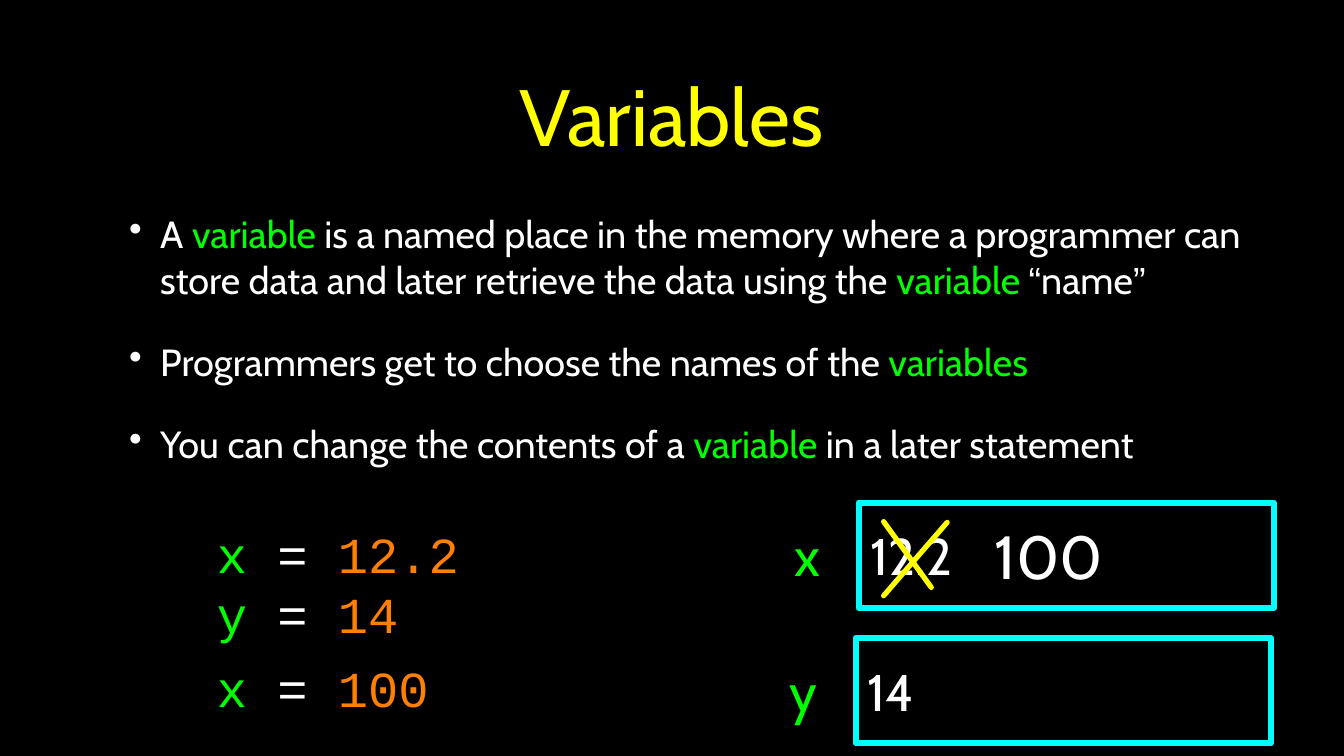
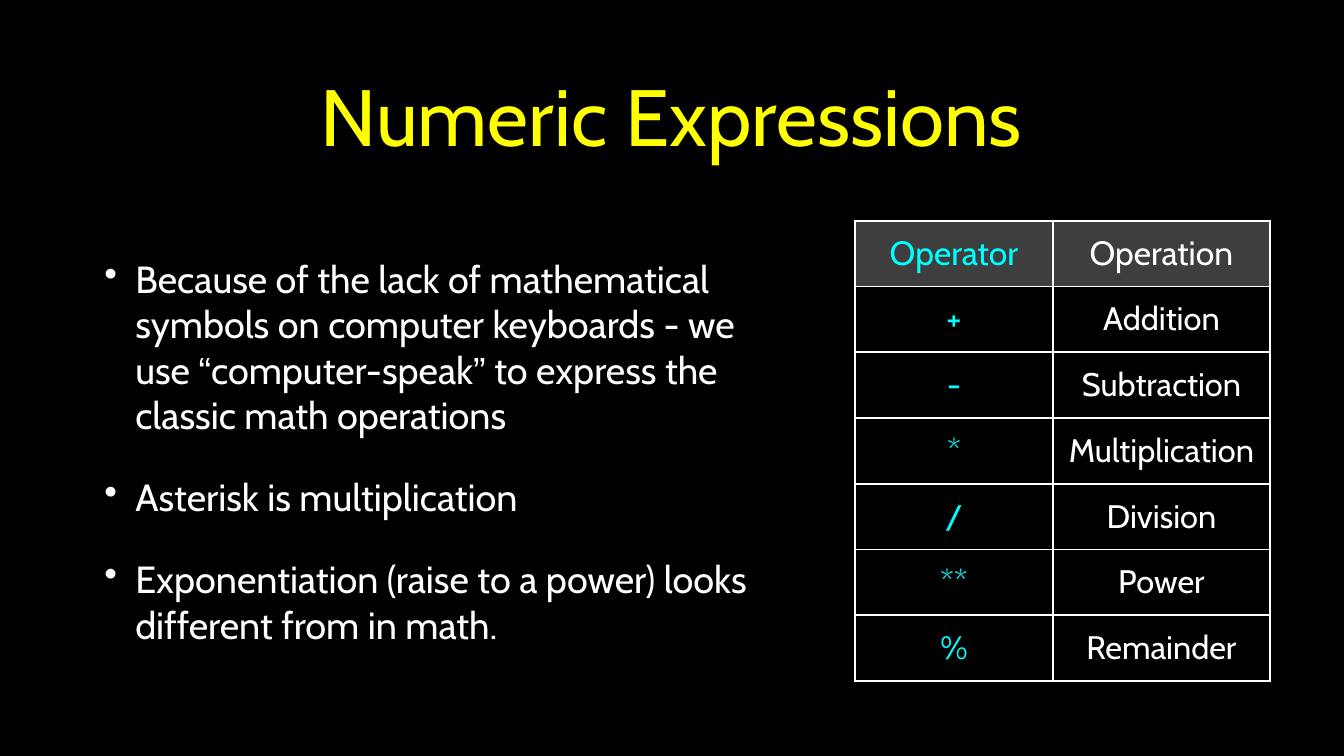
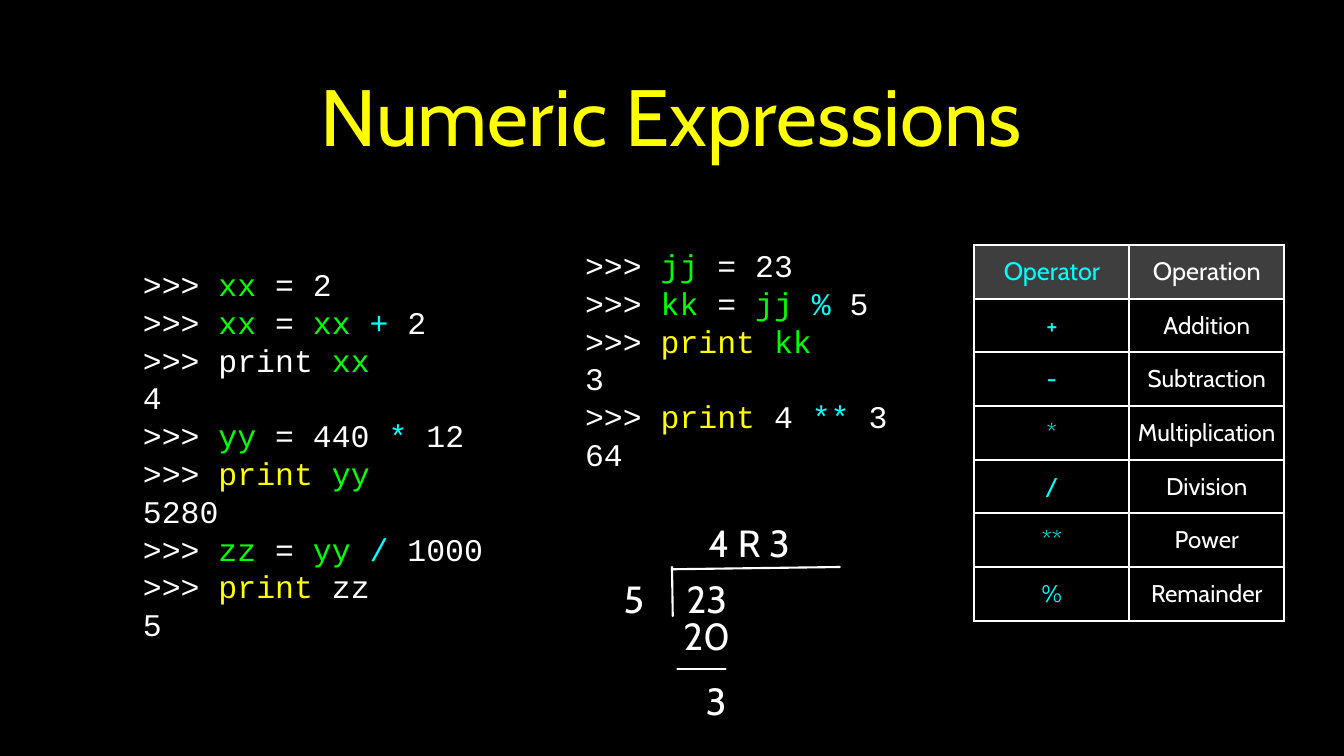
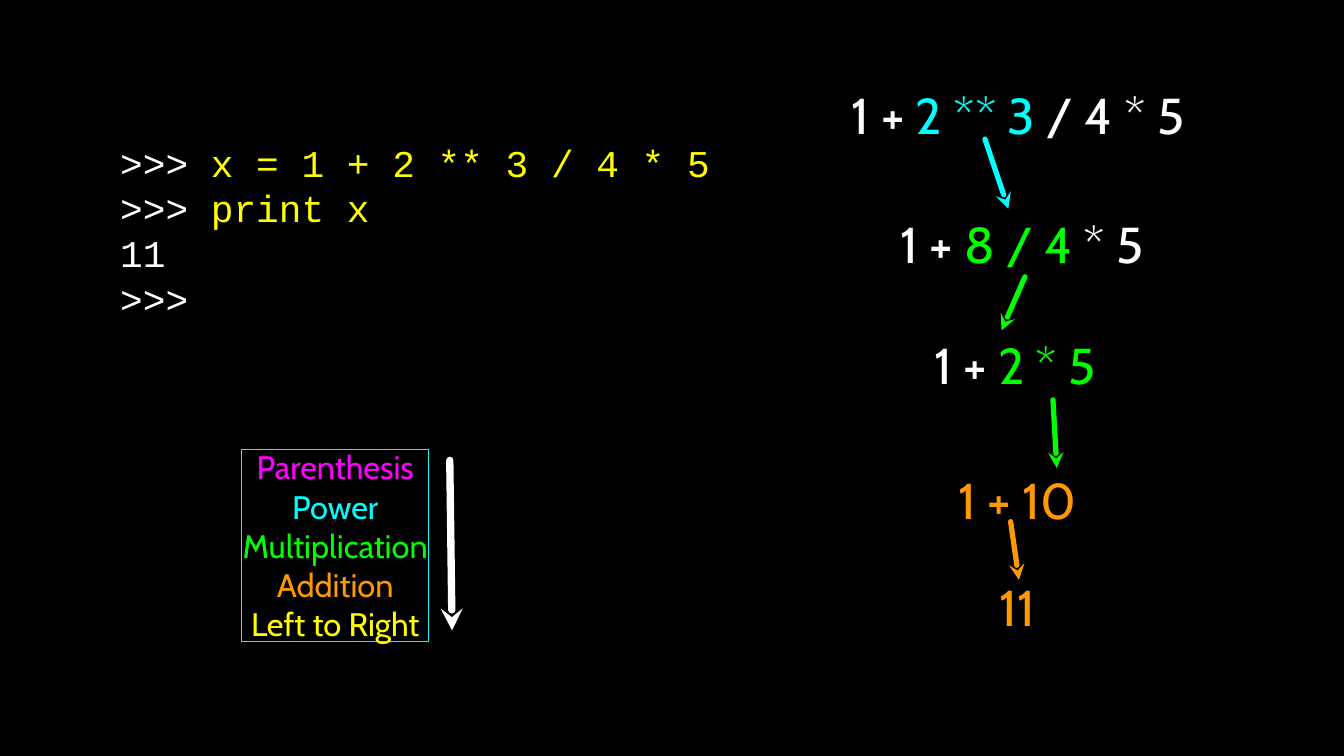
import lxml.etree
import pptx
import pptx.dml.color
import pptx.enum.shapes
import pptx.enum.text
import pptx.oxml.ns
import pptx.util

RGB = pptx.dml.color.RGBColor
ALIGN = pptx.enum.text.PP_ALIGN
MIDDLE = pptx.enum.text.MSO_ANCHOR.MIDDLE

# Colours and fonts
BLACK = RGB(0x00, 0x00, 0x00)
WHITE = RGB(0xFF, 0xFF, 0xFF)
YELLOW = RGB(0xFF, 0xFF, 0x00)
GREEN = RGB(0x00, 0xFF, 0x00)
CYAN = RGB(0x00, 0xFF, 0xFF)
MAGENTA = RGB(0xFF, 0x00, 0xFF)
ORANGE = RGB(0xFF, 0x7F, 0x00)
AMBER = RGB(0xFF, 0x99, 0x00)
GREY = RGB(0x7F, 0x7F, 0x7F)
SANS, MONO, QUOTE = "Cabin", "Courier New", "Arial"

EMU_PER_PX = 9144  # 100 px to the inch
INSET = 4
PROMPT = (">>> ", WHITE)

OPERATORS = [
    ("Operator", "Operation"), ("+", "Addition"), ("-", "Subtraction"),
    ("*", "Multiplication"), ("/", "Division"), ("**", "Power"),
    ("%", "Remainder"),
]


def px(length):
    return pptx.util.Emu(length * EMU_PER_PX)


def add_xml(parent, tag, **attributes):
    return lxml.etree.SubElement(parent, pptx.oxml.ns.qn(tag), attributes)


class Lecture:
    """Holds the shared style and the current slide."""

    def __init__(self):
        self.deck = pptx.Presentation()
        self.deck.slide_width, self.deck.slide_height = px(1778), px(1000)
        self.page = None

    def start(self, title=None):
        self.page = self.deck.slides.add_slide(self.deck.slide_layouts[6])
        fill = self.page.background.fill
        fill.solid()
        fill.fore_color.rgb = BLACK
        if title:
            self.text((126, 26, 1524, 251), [[(title, YELLOW)]], 76,
                      align=ALIGN.CENTER, inset=INSET)

    def set_lines(self, frame, lines, size, font=SANS, align=ALIGN.LEFT,
                  inset=0):
        """Each line is a list of (text, colour) or (text, colour, font)."""
        frame.word_wrap = True
        frame.vertical_anchor = MIDDLE
        frame.margin_left = frame.margin_right = px(inset)
        frame.margin_top = frame.margin_bottom = px(inset)
        for number, line in enumerate(lines):
            para = frame.add_paragraph() if number else frame.paragraphs[0]
            para.alignment = align
            for words, colour, *special in line:
                span = para.add_run()
                span.text = words
                span.font.size = pptx.util.Pt(size)
                span.font.name = special[0] if special else font
                span.font.color.rgb = colour

    def text(self, at, lines, size, **style):
        box = self.page.shapes.add_textbox(*map(px, at))
        self.set_lines(box.text_frame, lines, size, **style)
        return box

    def label(self, at, words, size, colour=WHITE):
        self.text(at, [[(words, colour)]], size, align=ALIGN.CENTER)

    def bullets(self, at, lines):
        box = self.text(at, lines, 36, inset=INSET)
        for number, para in enumerate(box.text_frame.paragraphs):
            if number:
                para.space_before = pptx.util.Pt(35)
            props = para._p.get_or_add_pPr()
            props.set("marL", str(px(82)))
            props.set("indent", str(px(-41)))
            add_xml(add_xml(props, "a:buClr"), "a:srgbClr", val=str(WHITE))
            add_xml(props, "a:buChar", char="•")

    def frame(self, at, lines, size, width, **style):
        box = self.page.shapes.add_shape(
            pptx.enum.shapes.MSO_SHAPE.RECTANGLE, *map(px, at))
        box.shadow.inherit = False
        box.fill.background()
        box.line.color.rgb = CYAN
        box.line.width = pptx.util.Pt(width)
        self.set_lines(box.text_frame, lines, size, **style)

    def line(self, start, end, colour=WHITE, width=2, arrow=False):
        stroke = self.page.shapes.add_connector(
            pptx.enum.shapes.MSO_CONNECTOR.STRAIGHT, *map(px, start + end))
        stroke.line.color.rgb = colour
        stroke.line.width = pptx.util.Pt(width)
        outline = stroke.line._get_or_add_ln()
        outline.set("cap", "rnd")
        if arrow:
            add_xml(outline, "a:tailEnd", type="stealth")
        add_xml(stroke._element.spPr, "a:effectLst")

    def operator_table(self, left, top, widths, row_height, size):
        holder = self.page.shapes.add_table(
            len(OPERATORS), 2, px(left), px(top),
            px(sum(widths)), px(row_height * len(OPERATORS)))
        table = holder.table
        table.first_row = table.horz_banding = False
        for column, width in zip(table.columns, widths):
            column.width = px(width)
        for r, words in enumerate(OPERATORS):
            table.rows[r].height = px(row_height)
            for c, colour in enumerate((CYAN, WHITE)):
                self.cell(table.cell(r, c), words[c], colour,
                          size if r == 0 else size - 1, header=r == 0)

    def cell(self, cell, words, colour, size, header):
        self.set_lines(cell.text_frame, [[(words, colour)]], size,
                       align=ALIGN.CENTER)
        cell.vertical_anchor = MIDDLE
        cell.margin_left = cell.margin_right = px(INSET)
        cell.margin_top = cell.margin_bottom = px(INSET)
        props = cell._tc.get_or_add_tcPr()
        for side in "LRTB":
            border = add_xml(props, "a:ln" + side, w=str(pptx.util.Pt(2)))
            add_xml(add_xml(border, "a:solidFill"), "a:srgbClr",
                    val=str(WHITE))
        if header:
            cell.fill.solid()
            cell.fill.fore_color.rgb = GREY
            shade = props.find(pptx.oxml.ns.qn("a:solidFill"))[0]
            add_xml(shade, "a:alpha", val="49000")
        else:
            cell.fill.background()


def assignment(name, value):
    return [(name + " ", GREEN), ("= ", WHITE), (value, ORANGE)]


def variables(lecture):
    lecture.start("Variables")
    lecture.bullets((126, 265, 1524, 365), [
        [("A ", WHITE), ("variable", GREEN),
         (" is a named place in the memory where a programmer can store data "
          "and later retrieve the data using the ", WHITE),
         ("variable ", GREEN), ("“", WHITE, QUOTE), ("name", WHITE),
         ("”", WHITE, QUOTE)],
        [("Programmers get to choose the names of the ", WHITE),
         ("variables", GREEN)],
        [("You can change the contents of a ", WHITE), ("variable ", GREEN),
         ("in a later statement", WHITE)],
    ])
    # Memory cells
    lecture.frame((1136, 665, 549, 139), [[(" 12.2", WHITE)]], 49, 6)
    lecture.label((1043, 687, 49, 94), "x", 52, GREEN)
    lecture.frame((1132, 844, 549, 139), [[(" 14", WHITE)]], 49, 6)
    lecture.label((1041, 867, 44, 94), "y", 52, GREEN)
    # Statements
    lecture.text((287, 682, 442, 180),
                 [assignment("x", "12.2"), assignment("y", "14")],
                 48, font=MONO)
    lecture.text((287, 862, 414, 94), [assignment("x", "100")], 48, font=MONO)
    # Old value crossed out, new value beside it
    lecture.line((1253, 691), (1169, 788), YELLOW, 5)
    lecture.line((1169, 690), (1232, 777), YELLOW, 5)
    lecture.label((1296, 683, 183, 103), "100", 58)


def operators(lecture):
    lecture.start("Numeric Expressions")
    lecture.bullets((93, 285, 924, 624), [
        [("Because of the lack of mathematical symbols on computer keyboards "
          "- we use ", WHITE), ("“", WHITE, QUOTE), ("computer-speak", WHITE),
         ("”", WHITE, QUOTE),
         (" to express the classic math operations", WHITE)],
        [("Asterisk is multiplication", WHITE)],
        [("Exponentiation (raise to a power) looks different from in math.",
          WHITE)],
    ])
    lecture.operator_table(1131, 292, (262, 287), 87, 32)


def sessions(lecture):
    lecture.start("Numeric Expressions")
    shout = ("print ", YELLOW)
    lecture.text((189, 310, 488, 581), [
        [PROMPT, ("xx", GREEN), (" = 2", WHITE)],
        [PROMPT, ("xx", GREEN), (" = ", WHITE), ("xx ", GREEN), ("+", CYAN),
         (" 2", WHITE)],
        [PROMPT, ("print ", WHITE), ("xx", GREEN)],
        [("4", WHITE)],
        [PROMPT, ("yy", GREEN), (" = 440 ", WHITE), ("*", CYAN),
         (" 12", WHITE)],
        [PROMPT, shout, ("yy", GREEN)],
        [("5280", WHITE)],
        [PROMPT, ("zz", GREEN), (" = ", WHITE), ("yy ", GREEN), ("/", CYAN),
         (" 1000", WHITE)],
        [PROMPT, shout, ("zz", WHITE)],
        [("5", WHITE)],
    ], 30, font=MONO)
    lecture.text((774, 299, 440, 353), [
        [PROMPT, ("jj", GREEN), (" = 23", WHITE)],
        [PROMPT, ("kk", GREEN), (" = ", WHITE), ("jj ", GREEN), ("% ", CYAN),
         ("5", WHITE)],
        [PROMPT, shout, ("kk", GREEN)],
        [("3", WHITE)],
        [PROMPT, shout, ("4 ", WHITE), ("**", CYAN), (" 3", WHITE)],
        [("64", WHITE)],
    ], 30, font=MONO)
    lecture.operator_table(1289, 324, (205, 205), 71, 24)
    # Long division
    lecture.line((889, 750), (890, 815))
    lecture.line((889, 753), (1111, 750))
    lecture.line((896, 885), (960, 885))
    for left, top, width, words in [
            (820, 757, 37, "5"), (904, 757, 62, "23"), (931, 684, 120, "4 R 3"),
            (904, 807, 62, "20"), (929, 892, 37, "3")]:
        lecture.label((left, top, width, 68), words, 36)


def precedence(lecture):
    lecture.start()
    # Order of precedence
    ranks = [("Parenthesis", MAGENTA), ("Power", CYAN),
             ("Multiplication", GREEN), ("Addition", AMBER),
             ("Left to Right", YELLOW)]
    lecture.frame((320, 594, 247, 254), [[rank] for rank in ranks], 31, 0.75,
                  align=ALIGN.CENTER)
    lecture.line((595, 609), (598, 834), WHITE, 7, arrow=True)
    # Evaluation steps
    for left, top, width, spans in [
            (1127, 108, 468, [("1 + ", WHITE), ("2 ** 3", CYAN),
                              (" / 4 * 5", WHITE)]),
            (1191, 278, 342, [("1 + ", WHITE), ("8 / 4", GREEN),
                              (" * 5", WHITE)]),
            (1236, 438, 253, [("1 + ", WHITE), ("2 * 5", GREEN)]),
            (1268, 617, 188, [("1 + 10", AMBER)]),
            (1322, 758, 79, [("11", AMBER)])]:
        lecture.text((left, top, width, 87), [spans], 48)
    for start, end, colour in [
            ((1303, 184), (1334, 276), CYAN), ((1356, 366), (1325, 437), GREEN),
            ((1393, 529), (1398, 619), GREEN),
            ((1337, 690), (1348, 767), AMBER)]:
        lecture.line(start, end, colour, 5, arrow=True)
    # Session
    lecture.text((159, 143, 804, 323), [
        [PROMPT, ("x = 1 + 2 ** 3 / 4 * 5", YELLOW)],
        [PROMPT, ("print x", YELLOW)],
        [("11", WHITE)],
        [(">>>", WHITE)],
    ], 36, font=MONO)


def main():
    lecture = Lecture()
    for build in (variables, operators, sessions, precedence):
        build(lecture)
    lecture.deck.save("out.pptx")


if __name__ == "__main__":
    main()
